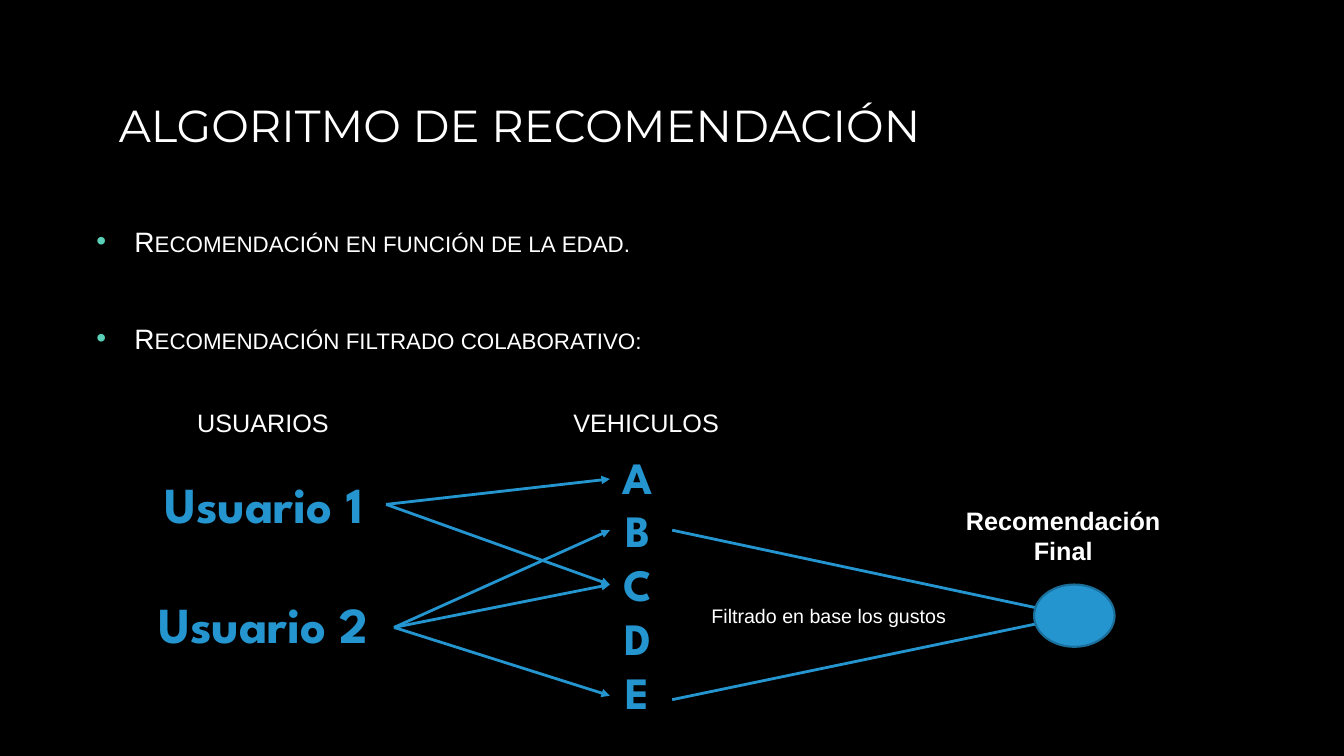
from pptx import Presentation
from pptx import util as u
from pptx.dml.color import RGBColor
from pptx.enum import shapes, text
from pptx.oxml import ns
from lxml import etree

COLORS = {"back": "000000", "text": "FFFFFF", "blue": "2495CF",
          "edge": "1B6E99", "bullet": "5AD0B8"}


def color(name):
    return RGBColor.from_string(COLORS[name])


def place(box, dx, dy, w, h):
    return [u.Cm(v) for v in (box[0] + dx, box[1] + dy, w, h)]


def add_run(p, words, size, font="Arial", name="text", bold=False):
    r = p.add_run()
    r.text = words
    r.font.size = u.Pt(size)
    r.font.name = font
    r.font.bold = bold
    r.font.color.rgb = color(name)
    return r


def add_text(s, area, lines, size, align=text.PP_ALIGN.LEFT, gap=0, wrap=True, **style):
    tf = s.shapes.add_textbox(*area).text_frame
    tf.word_wrap = wrap
    for i, line in enumerate(lines):
        p = tf.add_paragraph() if i else tf.paragraphs[0]
        p.alignment = align
        if i and gap:
            p.space_before = u.Pt(gap)
        add_run(p, line, size, **style)
    return tf


def add_line(s, start, end):
    c = s.shapes.add_connector(shapes.MSO_CONNECTOR.STRAIGHT,
                               *[u.Cm(v) for v in (*start, *end)])
    c.line.color.rgb = color("blue")
    c.line.width = u.Pt(2)
    etree.SubElement(c.line._get_or_add_ln(), ns.qn("a:tailEnd"), type="triangle")
    etree.SubElement(c._element.spPr, ns.qn("a:effectLst"))


def add_title(s, box):
    sp = s.shapes.title
    sp.left, sp.top, sp.width, sp.height = place(box, 0, 0, 27.51, 2.92)
    tf = sp.text_frame
    tf.auto_size = text.MSO_AUTO_SIZE.NONE
    tf.vertical_anchor = text.MSO_ANCHOR.MIDDLE
    p = tf.paragraphs[0]
    p.alignment = text.PP_ALIGN.LEFT
    add_run(p, "ALGORITMO DE RECOMENDACIÓN", 32, "Montserrat")


def add_bullets(s, box):
    tf = add_text(s, place(box, 0, 0, 27.51, 3.48),
                  ["Recomendación en función de la edad.",
                   "Recomendación filtrado colaborativo:"], 20, gap=45)
    tf.vertical_anchor = text.MSO_ANCHOR.MIDDLE
    for p in tf.paragraphs:
        pPr = p._p.get_or_add_pPr()
        pPr.set("marL", str(u.Cm(0.96)))
        pPr.set("indent", str(-u.Cm(0.96)))
        tint = etree.SubElement(pPr, ns.qn("a:buClr"))
        etree.SubElement(tint, ns.qn("a:srgbClr"), val=COLORS["bullet"])
        etree.SubElement(pPr, ns.qn("a:buFont"), typeface="Arial")
        etree.SubElement(pPr, ns.qn("a:buChar"), char="•")
        p.runs[0].font._element.set("cap", "small")


def add_users(s, box):
    add_text(s, place(box, 1.14, 0, 7.9, 1.02), ["USUARIOS"], 18)
    add_text(s, place(box, 0, 1.66, 6.12, 4.88), ["Usuario 1", "Usuario 2"], 36,
             text.PP_ALIGN.CENTER, gap=43, wrap=False,
             font="League Spartan", name="blue", bold=True)


def add_vehicles(s, box):
    add_text(s, place(box, 0, 0, 5.13, 1.02), ["VEHICULOS"], 18)
    add_text(s, place(box, 1.17, 1.07, 1.4, 7.09), "ABCDE", 32,
             text.PP_ALIGN.CENTER, wrap=False,
             font="League Spartan", name="blue", bold=True)


def add_choices(s, box):
    x, y = box
    vehicles = {"A": 0, "B": 1.29, "C": 2.66, "E": 5.46}
    for dx, dy, chosen in ((0, 0.64, "AC"), (0.2, 3.74, "BCE")):
        for letter in chosen:
            add_line(s, (x + dx, y + dy), (x + 5.64, y + vehicles[letter]))


def add_final(s, box):
    x, y = box
    for dy in (0.76, 5.03):
        add_line(s, (x, y + dy), (x + 10.14, y + 2.92))
    add_text(s, place(box, 0.74, 2.49, 7.06, 0.86), ["Filtrado en base los gustos"], 14)
    add_text(s, place(box, 6.96, 0, 5.79, 1.8), ["Recomendación", "Final"], 18,
             text.PP_ALIGN.CENTER, bold=True)
    sp = s.shapes.add_shape(shapes.MSO_SHAPE.OVAL, *place(box, 9.12, 2.13, 2.03, 1.57))
    sp.shadow.inherit = False
    sp.fill.solid()
    sp.fill.fore_color.rgb = color("blue")
    sp.line.color.rgb = color("edge")
    sp.line.width = u.Pt(1.5)


def main():
    prs = Presentation()
    prs.slide_width, prs.slide_height = u.Cm(33.87), u.Cm(19.05)
    s = prs.slides.add_slide(prs.slide_layouts.get_by_name("Title Only"))
    s.background.fill.solid()
    s.background.fill.fore_color.rgb = color("back")
    add_title(s, (2.74, 1.68))
    add_bullets(s, (2.18, 5.56))
    add_users(s, (3.58, 10.13))
    add_vehicles(s, (14.2, 10.13))
    add_choices(s, (9.73, 12.07))
    add_final(s, (16.94, 12.6))
    prs.save("out.pptx")


if __name__ == "__main__":
    main()
